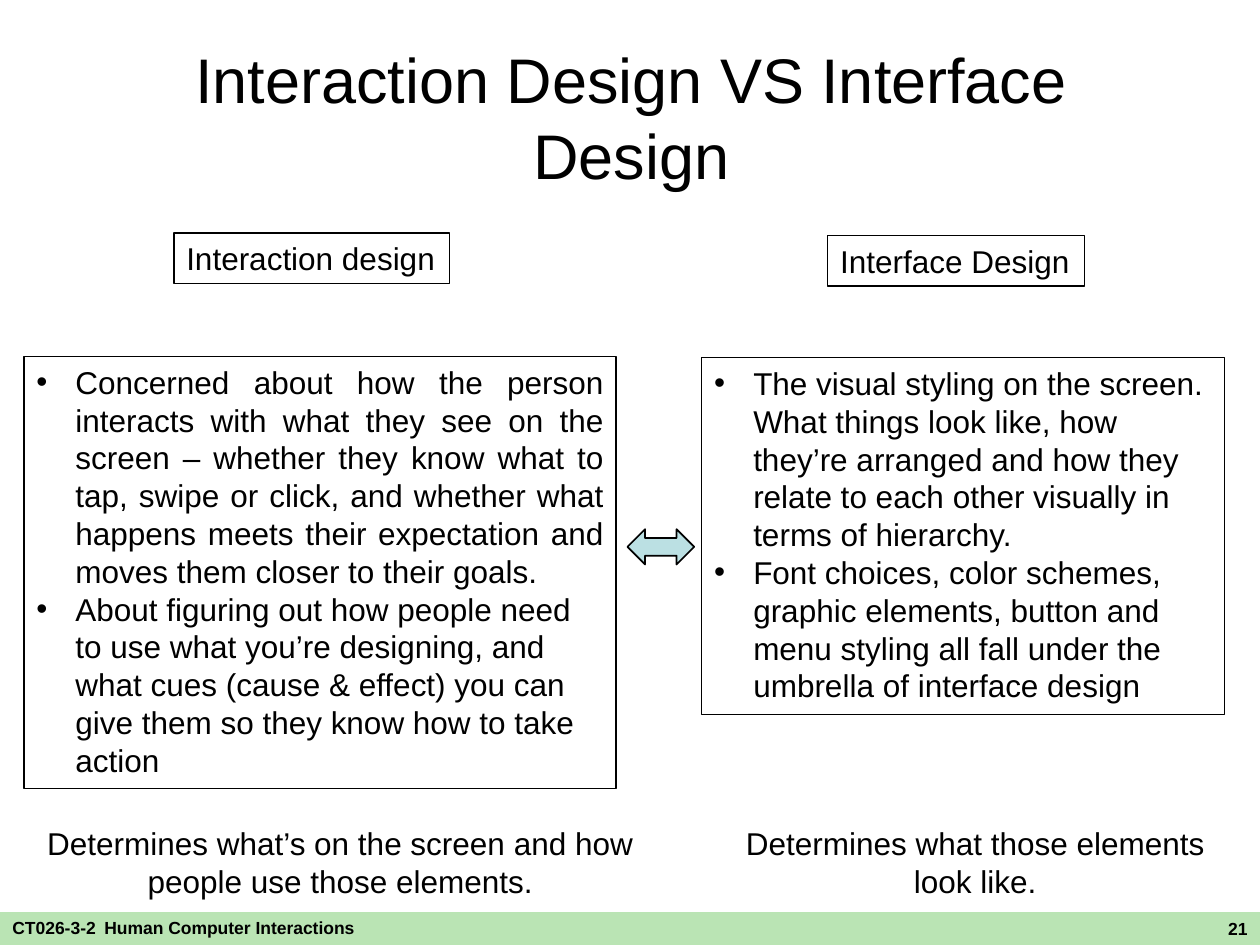
from lxml import etree
from pptx import Presentation, util as u
from pptx.dml.color import RGBColor
from pptx.enum import shapes, text
from pptx.oxml.ns import qn

deck = Presentation()
deck.slide_width, deck.slide_height = u.Inches(10), u.Inches(7.5)
COL, ROW = deck.slide_width / 100, deck.slide_height / 75
slide = deck.slides.add_slide(deck.slide_layouts[6])
LEFT, CENTER, RIGHT, JUSTIFY = (text.PP_ALIGN.LEFT, text.PP_ALIGN.CENTER,
                                text.PP_ALIGN.RIGHT, text.PP_ALIGN.JUSTIFY)


def paint(target, color):
    """Give a fill or font a solid colour from a hex string."""
    if hasattr(target, "solid"):
        target.solid()
        target = target.fore_color
    else:
        target = target.color
    target.rgb = RGBColor.from_string(color)


def write(area, paragraphs, size=18, bold=False, border=False, bullets=False, wrap=True):
    """Place (text, alignment) paragraphs in an area given as grid columns and rows."""
    left, top, width, height = area
    box = slide.shapes.add_textbox(*map(round, (left * COL, top * ROW, width * COL, height * ROW)))
    frame = box.text_frame
    frame.word_wrap = wrap
    if border:
        paint(box.line.fill, "000000")
        box.line.width = u.Pt(0.75)
    for i, (words, align) in enumerate(paragraphs):
        para = frame.add_paragraph() if i else frame.paragraphs[0]
        para.text, para.alignment = words, align
        if bullets:
            props = para._p.get_or_add_pPr()
            indent = u.Inches(0.31)
            props.set("marL", str(indent))
            props.set("indent", str(-indent))
            etree.SubElement(props, qn("a:buFont"), typeface="Arial")
            etree.SubElement(props, qn("a:buChar"), char="•")
        para.font.name, para.font.size, para.font.bold = "Arial", u.Pt(size), bold
        paint(para.font, "000000")
    return frame


# Footer
band = slide.shapes.add_shape(shapes.MSO_SHAPE.RECTANGLE, 0, round(72.4 * ROW),
                              round(100 * COL), round(2.6 * ROW))
band.shadow.inherit = False
paint(band.fill, "BAE4B4")
band.line.fill.background()
course = write((0, 71.2, 37.1, 2.8), [("CT026-3-2", LEFT)], size=10, bold=True).paragraphs[0]
gap = course.add_run()
gap.text, gap.font.size, gap.font.bold = " ", u.Pt(18), False
course.add_run().text = "Human Computer Interactions"
write((68.3, 72.4, 31.7, 2.6), [("21", RIGHT)], size=10, bold=True)

# Title
title = write((11.6, 3, 77, 12.5), [("Interaction Design VS Interface Design", CENTER)], size=36)
title.vertical_anchor = text.MSO_ANCHOR.MIDDLE

# The two sides of the comparison: heading, points, summary
sides = [
    ((13.8, 18.5, 21.9, 4), "Interaction design",
     (1.9, 28.3, 47, 34.3),
     [("Concerned about how the person interacts with what they see on the screen – whether "
       "they know what to tap, swipe or click, and whether what happens meets their "
       "expectation and moves them closer to their goals.", JUSTIFY),
      ("About figuring out how people need to use what you’re designing, and what cues "
       "(cause & effect) you can give them so they know how to take action", LEFT)],
     (2, 64.9, 50, 7.1),
     "Determines what’s on the screen and how people use those elements."),
    ((65.7, 18.7, 20.4, 4), "Interface Design",
     (55.7, 28.4, 41.5, 28.3),
     [("The visual styling on the screen. What things look like, how they’re arranged and "
       "how they relate to each other visually in terms of hierarchy.", LEFT),
      ("Font choices, color schemes, graphic elements, button and menu styling all fall "
       "under the umbrella of interface design", LEFT)],
     (57.2, 64.9, 40.4, 7.1),
     "Determines what those elements look like."),
]
for heading_area, heading, points_area, points, summary_area, summary in sides:
    write(heading_area, [(heading, LEFT)], border=True, wrap=False)
    write(points_area, points, border=True, bullets=True)
    write(summary_area, [(summary, CENTER)])

versus = slide.shapes.add_shape(shapes.MSO_SHAPE.LEFT_RIGHT_ARROW, round(49.8 * COL),
                                round(42 * ROW), round(5.3 * COL), round(2.8 * ROW))
versus.shadow.inherit = False
paint(versus.fill, "BBE0E3")
paint(versus.line.fill, "000000")
versus.line.width = u.Pt(1)

deck.save("out.pptx")
